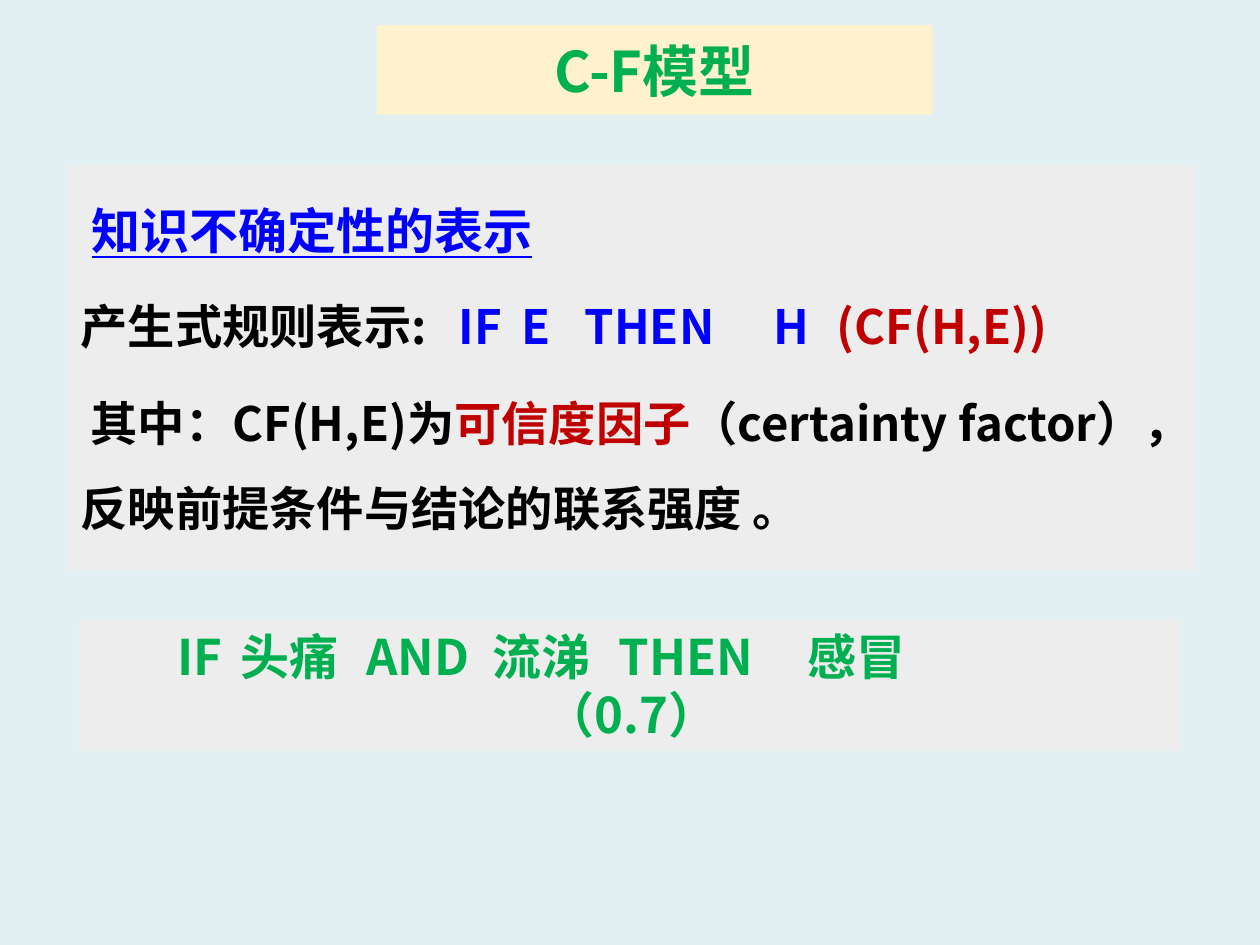
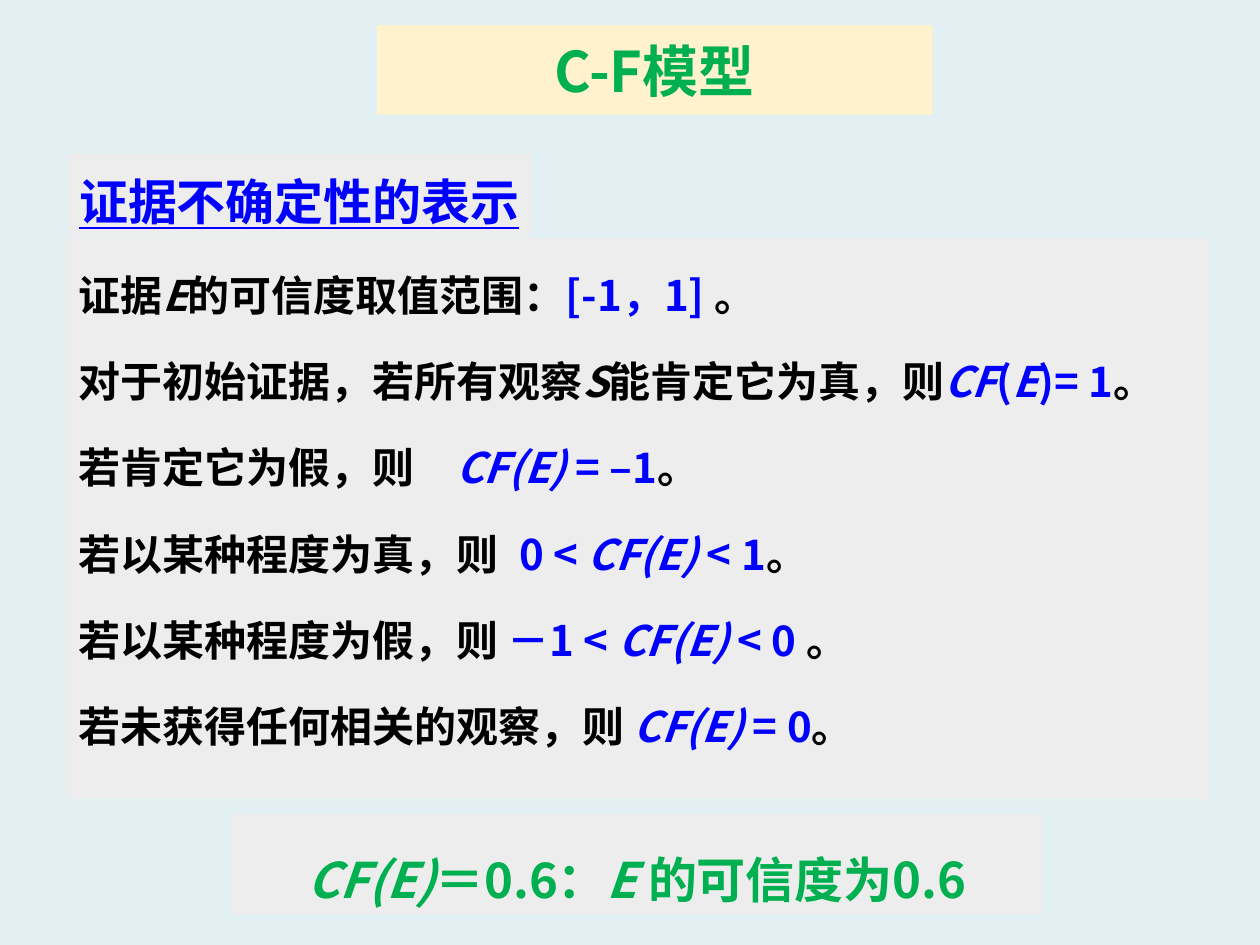
"""Build two slides on the certainty factor (C-F) model."""
import pptx
import pptx.util
import pptx.dml.color
import pptx.enum.shapes
import pptx.enum.text
import pptx.oxml.ns
from lxml import etree

Inches = pptx.util.Inches
Pt = pptx.util.Pt
qn = pptx.oxml.ns.qn
ALIGN = pptx.enum.text.PP_ALIGN
ANCHOR = pptx.enum.text.MSO_ANCHOR

COLORS = {
    "sky": "E3F0F3",
    "gray": "EDEDED",
    "cream": "FFF2CC",
    "green": "00B050",
    "blue": "0000FF",
    "red": "C00000",
    "black": "000000",
}
FONT = "Noto Sans CJK SC"
MARGINS = (0.1, 0.05, 0.1, 0.05)


def rgb(name):
    return pptx.dml.color.RGBColor.from_string(COLORS[name])


class Deck:
    def __init__(self):
        self.prs = pptx.Presentation()
        self.prs.slide_width, self.prs.slide_height = Inches(10), Inches(7.5)
        background = self.prs.slide_master.background.fill
        background.solid()
        background.fore_color.rgb = rgb("sky")
        self.slide = None

    def add_slide(self, title):
        self.slide = self.prs.slides.add_slide(self.prs.slide_layouts[1])
        heading = self.slide.shapes.title
        self.place(heading, (2.99, 0.2, 4.41, 0.71))
        self.frame(heading, "cream", anchor=ANCHOR.MIDDLE)
        self.add_lines(heading, [[(title,)]], 32, "green", align=ALIGN.CENTER)

    def place(self, shape, box):
        shape.left, shape.top, shape.width, shape.height = map(Inches, box)

    def frame(self, shape, fill=None, margins=MARGINS, anchor=ANCHOR.TOP, wrap=True):
        if fill:
            shape.fill.solid()
            shape.fill.fore_color.rgb = rgb(fill)
        text = shape.text_frame
        text.word_wrap = wrap
        text.auto_size = pptx.enum.text.MSO_AUTO_SIZE.NONE
        text.vertical_anchor = anchor
        (text.margin_left, text.margin_top,
         text.margin_right, text.margin_bottom) = map(Inches, margins)

    def add_lines(self, shape, lines, size, color, align=ALIGN.LEFT, spacing=1.0,
                  before=0, stops=None, indents=None, underline=None):
        """Add lines of (text, color, italic) spans; stops and indents go by line number."""
        text = shape.text_frame
        for number, spans in enumerate(lines):
            paragraph = text.paragraphs[0] if number == 0 else text.add_paragraph()
            tabs = (stops or {}).get(number, ())
            paragraph.alignment = ALIGN.LEFT if tabs else align
            paragraph.line_spacing = spacing
            paragraph.space_before = Pt(before if number else 0)
            properties = paragraph._p.get_or_add_pPr()
            properties.set("marL", "0")
            properties.set("indent", str(Inches((indents or {}).get(number, 0))))
            etree.SubElement(properties, qn("a:buNone"))
            if tabs:
                tab_list = etree.SubElement(properties, qn("a:tabLst"))
                for stop in tabs:
                    etree.SubElement(tab_list, qn("a:tab"), pos=str(Inches(stop)), algn="l")
            font = paragraph.font
            font.name, font.size, font.bold = FONT, Pt(size), True
            font.underline = underline
            font.color.rgb = rgb(color)
            etree.SubElement(properties.find(qn("a:defRPr")), qn("a:ea"), typeface=FONT)
            for content, *style in spans:
                run = paragraph.add_run()
                run.text = content
                if style and style[0]:
                    run.font.color.rgb = rgb(style[0])
                if len(style) > 1:
                    run.font.italic = style[1]

    def panel(self, box, lines, size, before, top=0.05, **layout):
        body = self.slide.placeholders[1]
        self.place(body, box)
        self.frame(body, "gray", margins=(0.1, top, 0.1, 0.05))
        self.add_lines(body, lines, size, "black", spacing=1.5, before=before, **layout)

    def heading(self, left, top, content, fill=None):
        label = self.slide.shapes.add_textbox(*map(Inches, (left, top, 3.69, 0.66)))
        self.frame(label, fill, wrap=False)
        self.add_lines(label, [[(content,)]], 28, "blue", spacing=1.2, underline=True)

    def example(self, box, lines, margins=MARGINS, **layout):
        rectangle = pptx.enum.shapes.MSO_SHAPE.RECTANGLE
        strip = self.slide.shapes.add_shape(rectangle, *map(Inches, box))
        strip.shadow.inherit = False
        strip.line.fill.background()
        self.frame(strip, "gray", margins)
        self.add_lines(strip, lines, 28, "green", align=ALIGN.CENTER, **layout)


def knowledge_slide(deck):
    deck.add_slide("C-F模型")
    rule = [
        [("产生式规则表示:\t",), ("IF\tE\tTHEN\tH\t", "blue"), ("(CF(H,E))", "red")],
        [("其中：CF(H,E)为",), ("可信度因子", "red"),
         ("（certainty factor），反映前提条件与结论的联系强度 。",)],
    ]
    deck.panel((0.54, 1.31, 8.95, 3.22), rule, 27, 6.8, top=0.82,
               stops={0: (3.14, 3.65, 4.07, 5.25, 5.9)}, indents={1: 0.08})
    deck.heading(0.63, 1.45, "知识不确定性的表示")
    deck.example((0.63, 4.92, 8.74, 1.04),
                 [[("IF\t头痛\tAND\t流涕\tTHEN\t感冒",)], [("（0.7）",)]],
                 margins=(0.78, 0.05, 0.76, 0.05),
                 stops={0: (0.72, 1.94, 3.29, 4.79, 6.37)})


def evidence_slide(deck):
    deck.add_slide("C-F模型")
    factor = ("CF(E)", "blue", True)
    end = ("。",)
    cases = [
        [("证据",), ("E", None, True), ("的可信度取值范围：",), ("[-1，1] ", "blue"), end],
        [("对于初始证据，若所有观察",), ("S", None, True), ("能肯定它为真，则",),
         ("CF", "blue", True), ("(", "blue"), ("E", "blue", True), (")= 1", "blue"), end],
        [("若肯定它为假，则\t",), factor, (" = –1", "blue"), end],
        [("若以某种程度为真，则\t",), ("0 < ", "blue"), factor, (" < 1", "blue"), end],
        [("若以某种程度为假，则 ",), ("－1 < ", "blue"), factor, (" < 0 ", "blue"), end],
        [("若未获得任何相关的观察，则 ",), factor, (" = 0", "blue"), end],
    ]
    deck.panel((0.52, 1.89, 9.07, 4.45), cases, 24, 6, stops={2: (2.92,), 3: (3.62,)})
    deck.example((1.84, 6.46, 6.43, 0.8),
                 [[("CF(E)", None, True), ("＝0.6：",), ("E ", None, True), ("的可信度为0.6",)]],
                 spacing=1.5)
    deck.heading(0.53, 1.22, "证据不确定性的表示", "gray")


def main():
    deck = Deck()
    knowledge_slide(deck)
    evidence_slide(deck)
    deck.prs.save("out.pptx")


if __name__ == "__main__":
    main()
